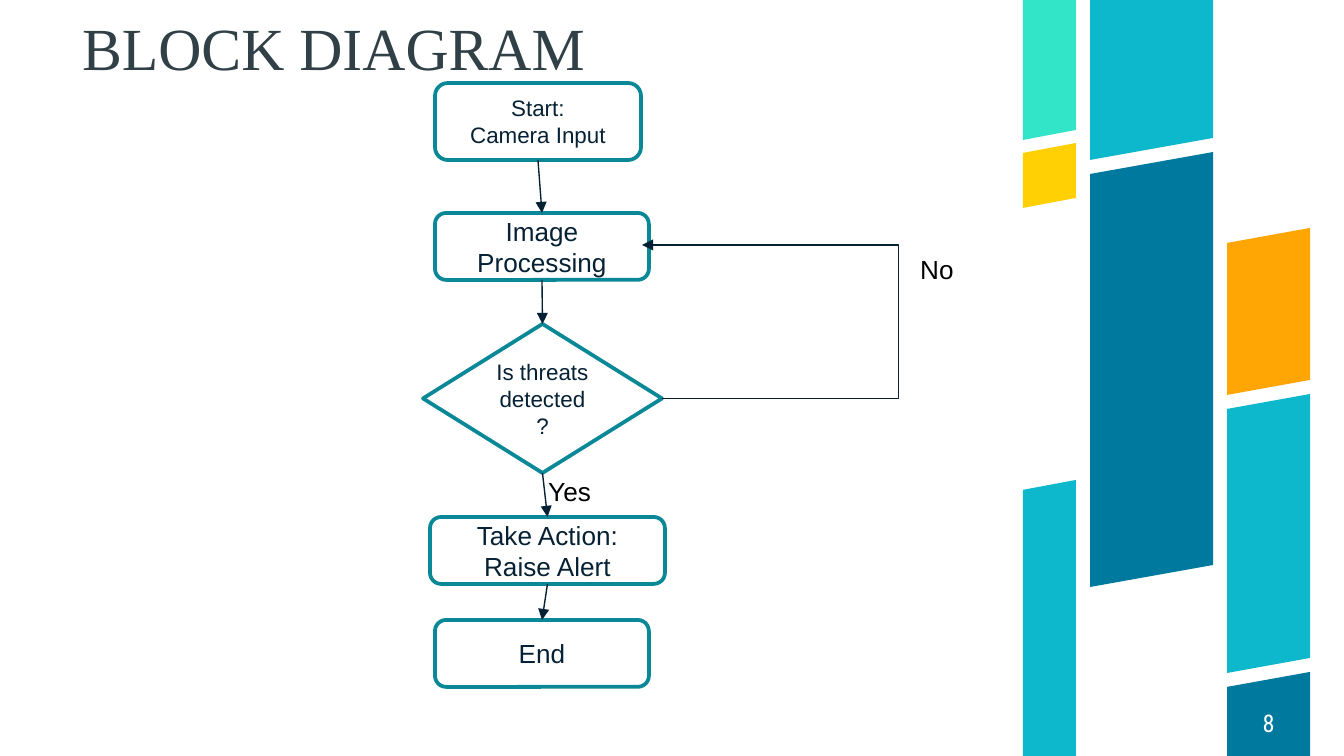
from dataclasses import dataclass

import pptx
import pptx.util
from lxml import etree
from pptx.dml.color import RGBColor
from pptx.enum.shapes import MSO_CONNECTOR, MSO_SHAPE
from pptx.enum.text import MSO_ANCHOR, PP_ALIGN
from pptx.oxml.ns import qn

PAGE_WIDTH, PAGE_HEIGHT = 1344, 756
SCALE = 914400 / 134.4  # EMU in one px
TOP, LEFT, BOTTOM, RIGHT = range(4)


@dataclass(frozen=True)
class Theme:
    white: str = "FFFFFF"
    black: str = "000000"
    heading: str = "304046"
    ink: str = "062133"
    outline: str = "0A8897"
    mint: str = "32E4C8"
    yellow: str = "FFD104"
    cyan: str = "0DB8CC"
    blue: str = "00799E"
    orange: str = "FFA604"
    heading_font: str = "Times New Roman"
    body_font: str = "Arial"
    number_font: str = "Roboto Condensed"
    heading_size: int = 32
    body_size: int = 14
    number_size: int = 13
    small_size: int = 12


@dataclass(frozen=True)
class Box:
    left: int
    top: int
    width: int
    height: int

    def inner(self, left, top, width, height):
        return Box(self.left + left, self.top + top, width, height)

    def emu(self):
        return [px(n) for n in (self.left, self.top, self.width, self.height)]


THEME = Theme()


def px(length):
    return pptx.util.Emu(round(length * SCALE))


def color(value):
    return RGBColor.from_string(value)


def write(frame, text, size, ink, font=THEME.body_font, align=PP_ALIGN.CENTER):
    frame.text = text
    for para in frame.paragraphs:
        para.alignment = align
        para.font.name = font
        para.font.size = pptx.util.Pt(size)
        para.font.color.rgb = color(ink)


def add_text(page, box, text, size, ink, anchor=MSO_ANCHOR.TOP, **style):
    frame = page.shapes.add_textbox(*box.emu()).text_frame
    frame.word_wrap = True
    frame.vertical_anchor = anchor
    write(frame, text, size, ink, **style)
    return frame


def clear_margins(frame):
    frame.margin_left = frame.margin_right = 0
    frame.margin_top = frame.margin_bottom = 0


def add_title(page, box):
    frame = add_text(page, box, "BLOCK DIAGRAM", THEME.heading_size, THEME.heading,
                     MSO_ANCHOR.BOTTOM, font=THEME.heading_font, align=PP_ALIGN.LEFT)
    clear_margins(frame)
    frame.margin_bottom = px(30)


def add_page_number(page, box, number):
    frame = add_text(page, box, str(number), THEME.number_size, THEME.white,
                     MSO_ANCHOR.MIDDLE, font=THEME.number_font)
    clear_margins(frame)


def add_ribbons(page, box):
    """Columns of slanted bands; edges on the page border stay level."""
    columns = [
        (0, 53, [(490, 756, THEME.cyan), (153, 208, THEME.yellow), (0, 140, THEME.mint)]),
        (67, 123, [(174, 587, THEME.blue), (0, 160, THEME.cyan)]),
        (204, 83, [(243, 395, THEME.orange), (687, 756, THEME.blue), (409, 673, THEME.cyan)]),
    ]
    for offset, width, bands in columns:
        left = box.left + offset
        right = left + width
        rise = round(width * 0.18)
        for upper, lower, fill in bands:
            upper_right = upper - rise if upper > 0 else upper
            lower_right = lower - rise if lower < box.height else lower
            builder = page.shapes.build_freeform(left, box.top + upper, scale=SCALE)
            builder.add_line_segments([
                (right, box.top + upper_right),
                (right, box.top + lower_right),
                (left, box.top + lower),
            ])
            band = builder.convert_to_shape()
            band.shadow.inherit = False
            band.fill.solid()
            band.fill.fore_color.rgb = color(fill)
            band.line.fill.background()


def add_node(page, box, text, size, kind=MSO_SHAPE.ROUNDED_RECTANGLE):
    node = page.shapes.add_shape(kind, *box.emu())
    node.shadow.inherit = False
    node.fill.solid()
    node.fill.fore_color.rgb = color(THEME.white)
    node.line.color.rgb = color(THEME.outline)
    node.line.width = pptx.util.Pt(2)
    node.text_frame.vertical_anchor = MSO_ANCHOR.MIDDLE
    write(node.text_frame, text, size, THEME.ink)
    return node


def add_link(page, start=(0, 0), end=(0, 0), kind=MSO_CONNECTOR.STRAIGHT, arrow=True):
    link = page.shapes.add_connector(kind, *[px(n) for n in (*start, *end)])
    link.line.color.rgb = color(THEME.ink)
    link.line.width = pptx.util.Pt(0.75)
    if arrow:
        etree.SubElement(link.line._get_or_add_ln(), qn("a:tailEnd"), type="triangle")
    etree.SubElement(link._element.spPr, qn("a:effectLst"))
    return link


def add_label(page, box, text):
    frame = add_text(page, box, text, THEME.body_size, THEME.black, align=PP_ALIGN.LEFT)
    frame.word_wrap = False


def add_flowchart(page, box):
    body, small = THEME.body_size, THEME.small_size
    start = add_node(page, box.inner(12, 0, 206, 77), "Start:\nCamera Input", small)
    process = add_node(page, box.inner(12, 130, 214, 67), "Image Processing", body)
    finish = add_node(page, box.inner(12, 537, 214, 67), "End", body)
    decision = add_node(page, box.inner(0, 241, 239, 149), "Is threats detected?",
                        small, MSO_SHAPE.DIAMOND)
    action = add_node(page, box.inner(7, 434, 235, 67), "Take Action: Raise Alert", body)

    steps = [start, process, decision, action, finish]
    for above, below in zip(steps, steps[1:]):
        link = add_link(page)
        link.begin_connect(above, BOTTOM)
        link.end_connect(below, TOP)

    loop_y = box.top + 162
    loop = add_link(page, (box.left + 239, box.top + 315), (box.left + 461, loop_y),
                    MSO_CONNECTOR.ELBOW, arrow=False)
    loop.begin_connect(decision, RIGHT)
    bends = loop._element.spPr.find(qn("a:prstGeom")).get_or_add_avLst()
    etree.SubElement(bends, qn("a:gd"), name="adj1", fmla="val 106500")
    add_link(page, (box.left + 474, loop_y), (box.left + 219, loop_y))

    add_label(page, box.inner(484, 164, 60, 46), "No")
    add_label(page, box.inner(112, 386, 70, 46), "Yes")


def main():
    deck = pptx.Presentation()
    deck.slide_width, deck.slide_height = px(PAGE_WIDTH), px(PAGE_HEIGHT)
    page = deck.slides.add_slide(deck.slide_layouts[6])
    add_ribbons(page, Box(1023, 0, 287, PAGE_HEIGHT))
    add_title(page, Box(82, 55, 898, 58))
    add_page_number(page, Box(1227, 689, 83, 67), 8)
    add_flowchart(page, Box(423, 83, 474, 604))
    deck.save("out.pptx")


if __name__ == "__main__":
    main()
